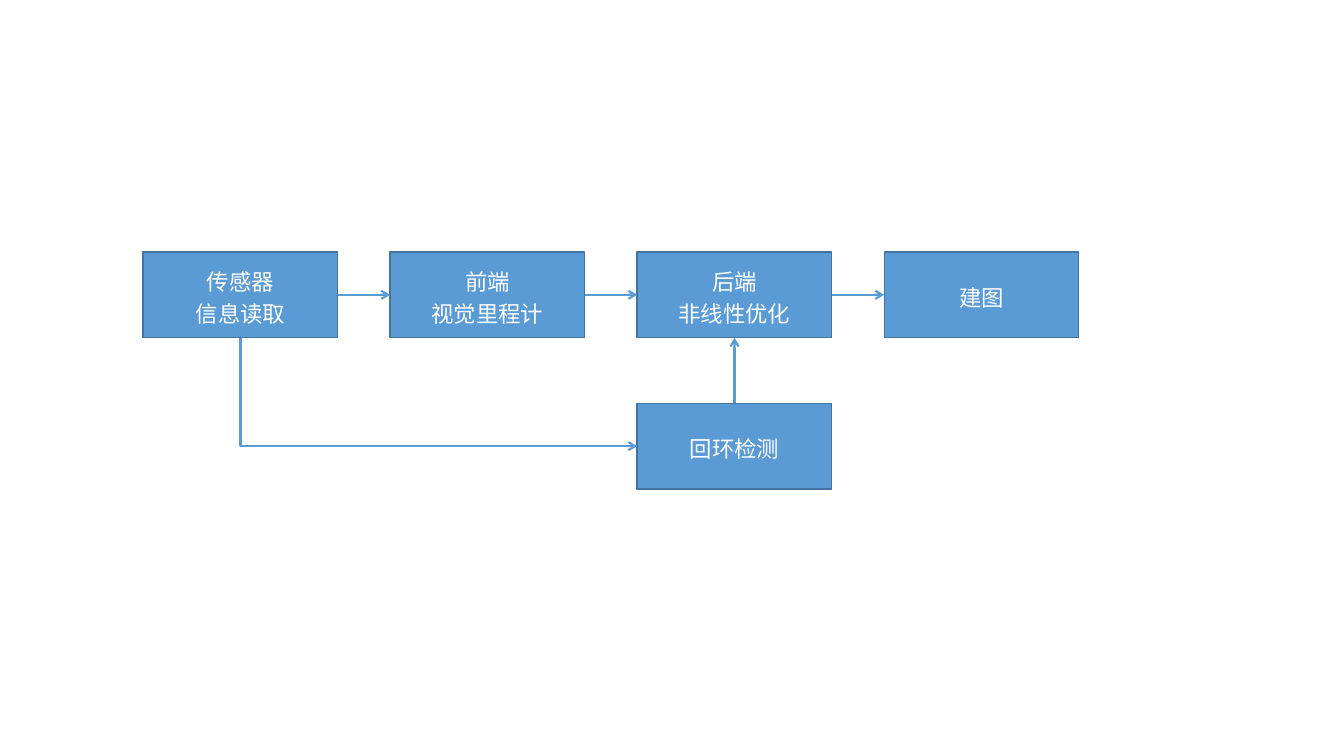
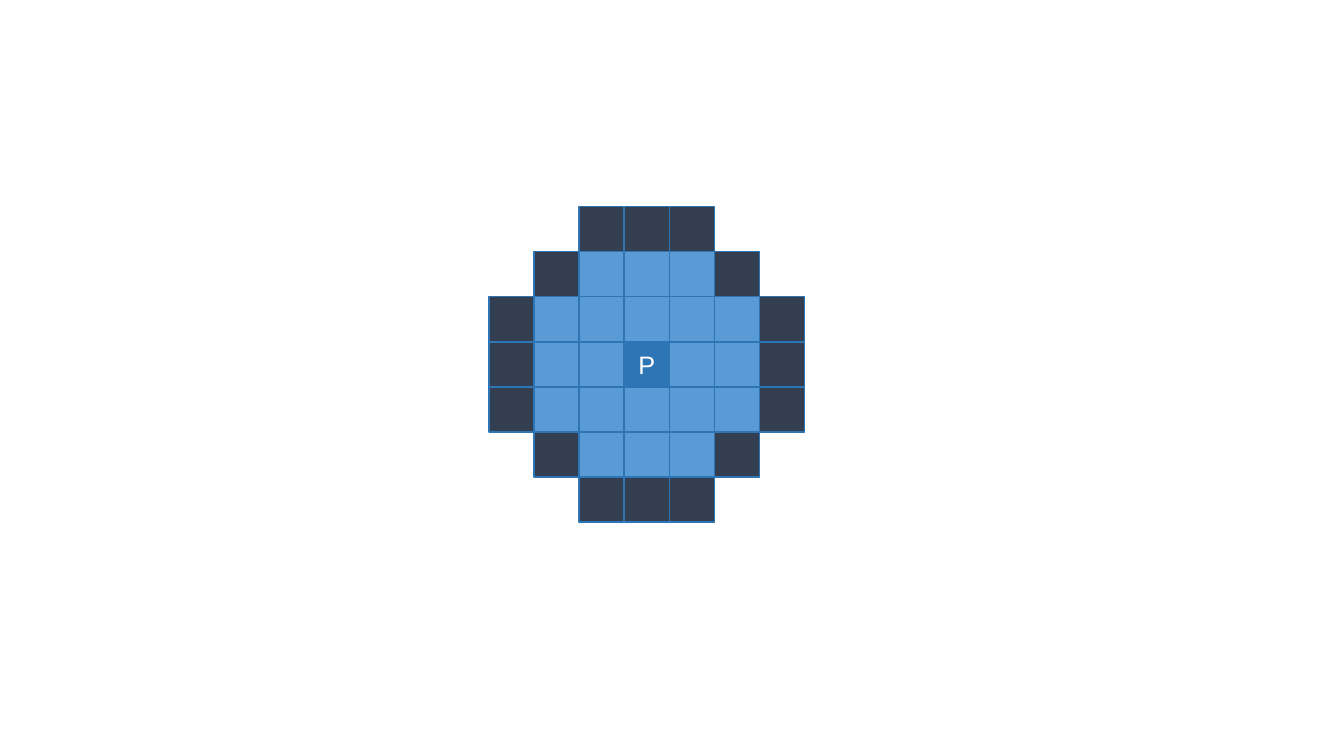
from lxml import etree
from pptx import Presentation
from pptx.dml.color import RGBColor
from pptx.enum.shapes import MSO_CONNECTOR as Link, MSO_SHAPE as Shape
from pptx.enum.text import MSO_ANCHOR as Anchor, PP_ALIGN as Align
from pptx.oxml.ns import qn
from pptx.util import Inches, Pt

BLUE = RGBColor(0x5B, 0x9B, 0xD5)
BLOCK_EDGE = RGBColor(0x43, 0x73, 0x9E)
DEEP_BLUE = RGBColor(0x2E, 0x75, 0xB6)
SLATE = RGBColor(0x33, 0x3F, 0x50)
WHITE = RGBColor(0xFF, 0xFF, 0xFF)
FONT = "Arial"

BLOCK_WIDTH, BLOCK_HEIGHT = 1.93, 0.85
FLOW_LEFT, FLOW_TOP = 1.42, 2.5
COLUMN_PITCH, ROW_PITCH = 2.45, 1.5
TOP, LEFT, BOTTOM, RIGHT = range(4)

GRID_LEFT, GRID_TOP, GRID_SIDE = 4.85, 2.05, 3.13
PIXELS = (
    "  ###  ",
    " #ooo# ",
    "#ooooo#",
    "#ooPoo#",
    "#ooooo#",
    " #ooo# ",
    "  ###  ",
)
PIXEL_FILLS = {"#": SLATE, "o": BLUE, "P": DEEP_BLUE}


def add_box(slide, left, top, width, height, fill, edge):
    box = slide.shapes.add_shape(
        Shape.RECTANGLE, Inches(left), Inches(top), Inches(width), Inches(height))
    box.shadow.inherit = False
    box.fill.solid()
    box.fill.fore_color.rgb = fill
    box.line.color.rgb = edge
    box.line.width = Pt(1)
    return box


def write(box, text, size, spacing=1.0):
    frame = box.text_frame
    frame.word_wrap = True
    frame.vertical_anchor = Anchor.MIDDLE
    frame.text = text
    for paragraph in frame.paragraphs:
        paragraph.alignment = Align.CENTER
        paragraph.line_spacing = spacing
        paragraph.font.name = FONT
        paragraph.font.size = Pt(size)
        paragraph.font.color.rgb = WHITE


def add_block(slide, text, column, row=0):
    block = add_box(slide, FLOW_LEFT + column * COLUMN_PITCH, FLOW_TOP + row * ROW_PITCH,
                    BLOCK_WIDTH, BLOCK_HEIGHT, BLUE, BLOCK_EDGE)
    write(block, text, 16, 1.2)
    return block


def add_arrow(slide, source, source_side, target, target_side, kind=Link.STRAIGHT):
    arrow = slide.shapes.add_connector(kind, 0, 0, 0, 0)
    arrow.begin_connect(source, source_side)
    arrow.end_connect(target, target_side)
    arrow.line.color.rgb = BLUE
    arrow.line.width = Pt(1.5)
    etree.SubElement(arrow.line._get_or_add_ln(), qn("a:tailEnd"), type="arrow")
    etree.SubElement(arrow._element.spPr, qn("a:effectLst"))
    return arrow


def turn_down_then_right(arrow):
    across, down = arrow.width, arrow.height
    shift = (across - down) // 2
    arrow.left, arrow.top = arrow.left + shift, arrow.top - shift
    arrow.width, arrow.height = down, across
    properties = arrow._element.spPr
    frame = properties.find(qn("a:xfrm"))
    frame.set("rot", "5400000")
    frame.set("flipV", "1")
    properties.find(qn("a:prstGeom")).set("prst", "bentConnector2")


def build_slam_flow(slide):
    stages = ("传感器\n信息读取", "前端\n视觉里程计", "后端\n非线性优化", "建图")
    blocks = [add_block(slide, text, column) for column, text in enumerate(stages)]
    sensor, _, backend, _ = blocks
    loop_detection = add_block(slide, "回环检测", 2, 1)
    for source, target in zip(blocks, blocks[1:]):
        add_arrow(slide, source, RIGHT, target, LEFT)
    turn_down_then_right(
        add_arrow(slide, sensor, BOTTOM, loop_detection, LEFT, Link.ELBOW))
    add_arrow(slide, loop_detection, TOP, backend, BOTTOM)


def build_pixel_circle(slide):
    side = GRID_SIDE / len(PIXELS)
    for row, marks in enumerate(PIXELS):
        for column, mark in enumerate(marks):
            if mark not in PIXEL_FILLS:
                continue
            pixel = add_box(slide, GRID_LEFT + column * side, GRID_TOP + row * side,
                            side, side, PIXEL_FILLS[mark], DEEP_BLUE)
            if mark == "P":
                write(pixel, mark, 18)


def main():
    deck = Presentation()
    deck.slide_width, deck.slide_height = Inches(13.33), Inches(7.5)
    blank = deck.slide_layouts[6]
    for build in (build_slam_flow, build_pixel_circle):
        build(deck.slides.add_slide(blank))
    deck.save("out.pptx")


if __name__ == "__main__":
    main()
